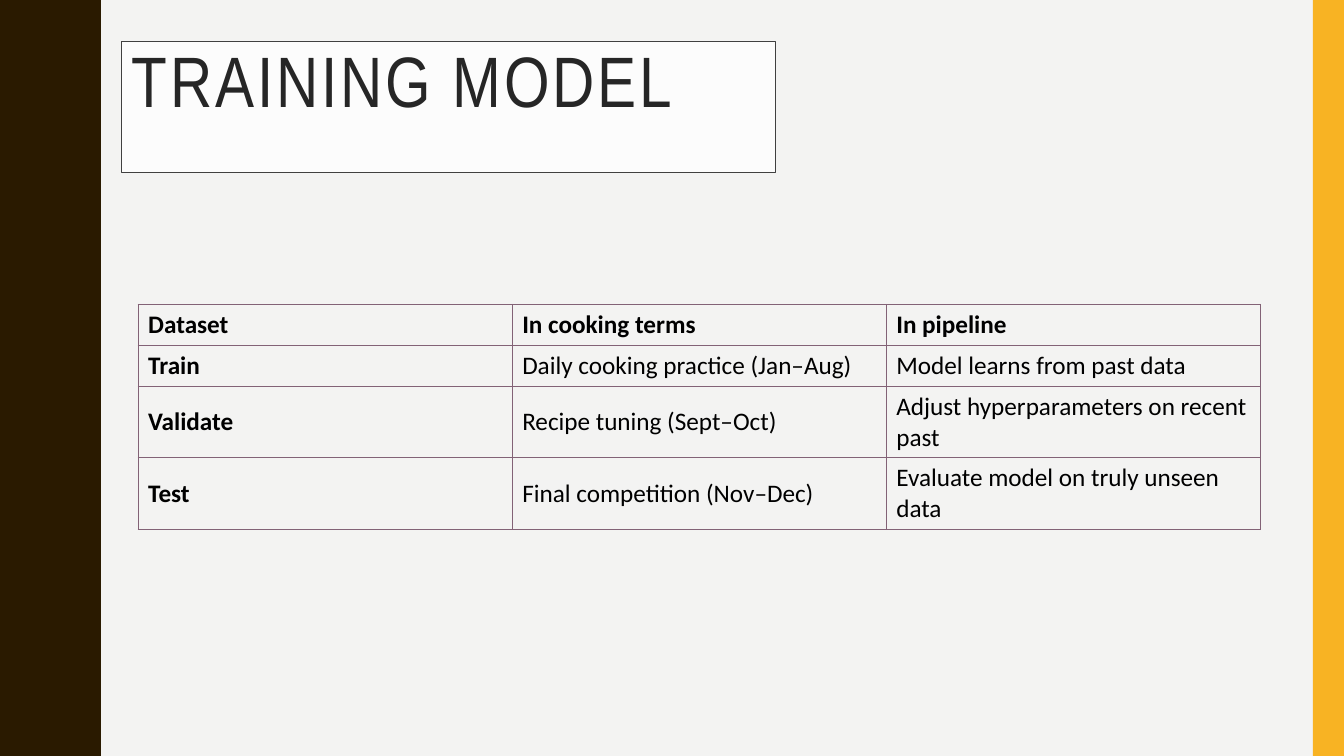
"""Build the slide on the training, validation and test datasets."""
from lxml import etree
from pptx import Presentation
from pptx import util as u
from pptx.dml.color import RGBColor
from pptx.enum import shapes, text
from pptx.oxml import ns

COLOURS = {"page": "F3F3F2", "wave": "2A1A00", "stripe": "F8B323", "grid": "826276",
           "cell": "000000", "panel": "FFFFFF", "outline": "404040", "title": "262626"}
HALF_WAVE = [(0.78, 0), (0.78, 0.07), (0.79, 0.14), (0.8, 0.2), (0.81, 0.25),
             (0.83, 0.29), (0.85, 0.33), (0.87, 0.38), (0.89, 0.42), (0.91, 0.46),
             (0.93, 0.5), (0.95, 0.55), (0.96, 0.61), (0.97, 0.68), (0.97, 0.75)]
WAVE_LENGTH = 1.5
ROWS = [("Dataset", "In cooking terms", "In pipeline"),
        ("Train", "Daily cooking practice (Jan–Aug)", "Model learns from past data"),
        ("Validate", "Recipe tuning (Sept–Oct)", "Adjust hyperparameters on recent past"),
        ("Test", "Final competition (Nov–Dec)", "Evaluate model on truly unseen data")]
ROW_HEIGHTS = [0.4, 0.4, 0.71, 0.71]


def colour(name):
    """Return a named colour of the slide."""
    return RGBColor.from_string(COLOURS[name])


def paint(shape, name):
    """Give a shape a plain fill with no line or shadow."""
    shape.shadow.inherit = False
    shape.fill.solid()
    shape.fill.fore_color.rgb = colour(name)
    shape.line.fill.background()


def style_font(font, name, size, face, bold=False):
    """Set the face, size, weight and colour of a font."""
    font.name, font.size, font.bold = face, u.Pt(size), bold
    font.color.rgb = colour(name)


def add_wave(page, left, top, height):
    """Draw the dark band with a wavy right edge."""
    period = HALF_WAVE + [(x, WAVE_LENGTH - y) for x, y in HALF_WAVE[-2:0:-1]]
    edge = [(left + x, top + y + WAVE_LENGTH * turn)
            for turn in range(round(height / WAVE_LENGTH)) for x, y in period]
    edge += [(left + HALF_WAVE[0][0], top + height), (left, top + height)]
    builder = page.shapes.build_freeform(left, top, scale=u.Inches(1))
    builder.add_line_segments(edge, close=True)
    paint(builder.convert_to_shape(), "wave")


def add_stripe(page, left, top, width, height):
    """Draw the yellow stripe at the right edge."""
    paint(page.shapes.add_shape(shapes.MSO_SHAPE.RECTANGLE, *map(u.Inches, (left, top, width, height))),
          "stripe")


def add_title(page, left, top, width, height):
    """Place the title in its translucent outlined panel."""
    box = page.shapes.add_shape(shapes.MSO_SHAPE.RECTANGLE, *map(u.Inches, (left, top, width, height)))
    paint(box, "panel")
    shade = box.fill._xPr.find(ns.qn("a:solidFill"))[0]
    etree.SubElement(shade, ns.qn("a:alpha"), val="80000")
    box.line.color.rgb = colour("outline")
    box.line.width = u.Pt(0.75)
    frame = box.text_frame
    frame.word_wrap = True
    frame.vertical_anchor = text.MSO_ANCHOR.TOP
    para = frame.paragraphs[0]
    para.alignment = text.PP_ALIGN.LEFT
    para.line_spacing = 0.9
    span = para.add_run()
    span.text = "TRAINING MODEL"
    style_font(span.font, "title", 51, "Arial Narrow")
    span.font._element.set("spc", "200")


def add_borders(cell):
    """Line all four sides of a table cell."""
    properties = cell._tc.get_or_add_tcPr()
    for index, side in enumerate(("lnL", "lnR", "lnT", "lnB")):
        line = etree.Element(ns.qn(f"a:{side}"), w=str(u.Pt(1)))
        fill = etree.SubElement(line, ns.qn("a:solidFill"))
        etree.SubElement(fill, ns.qn("a:srgbClr"), val=COLOURS["grid"])
        properties.insert(index, line)


def add_datasets(page, left, top, width):
    """Place the table of datasets with equal columns."""
    table = page.shapes.add_table(len(ROWS), len(ROWS[0]), u.Inches(left), u.Inches(top),
                                  u.Inches(width), u.Inches(sum(ROW_HEIGHTS))).table
    table.first_row = table.horz_banding = False
    for row, height in zip(table.rows, ROW_HEIGHTS):
        row.height = u.Inches(height)
    for row, words in enumerate(ROWS):
        for column, word in enumerate(words):
            cell = table.cell(row, column)
            cell.text = word
            cell.fill.background()
            cell.vertical_anchor = text.MSO_ANCHOR.MIDDLE
            style_font(cell.text_frame.paragraphs[0].font, "cell", 18, "Calibri",
                       row == 0 or column == 0)
            add_borders(cell)


def main():
    """Build and save the deck."""
    deck = Presentation()
    deck.slide_width, deck.slide_height = u.Inches(13.33), u.Inches(7.5)
    page = deck.slides.add_slide(deck.slide_layouts[6])
    page.background.fill.solid()
    page.background.fill.fore_color.rgb = colour("page")
    add_wave(page, 0, 0, 7.5)
    add_stripe(page, 13.02, 0, 0.31, 7.5)
    add_datasets(page, 1.37, 3.02, 11.13)
    add_title(page, 1.21, 0.41, 6.48, 1.3)
    deck.save("out.pptx")


if __name__ == "__main__":
    main()
